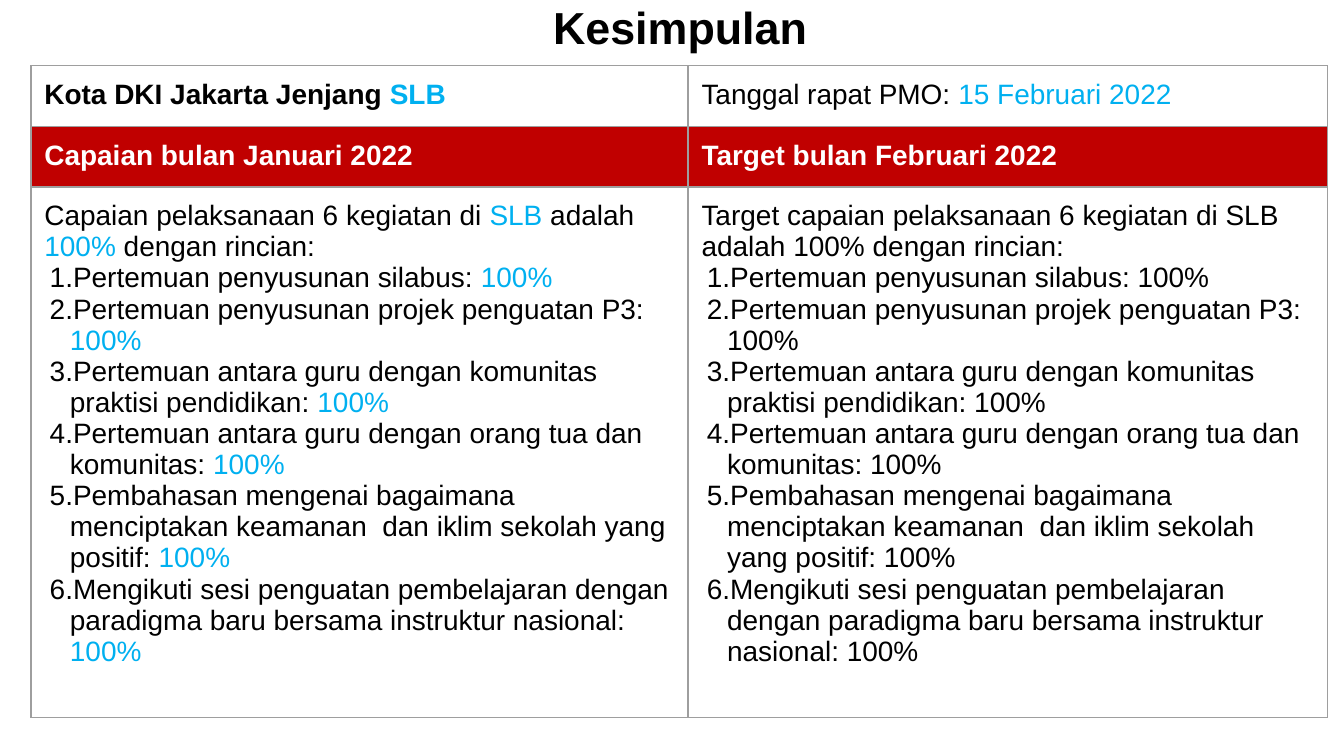
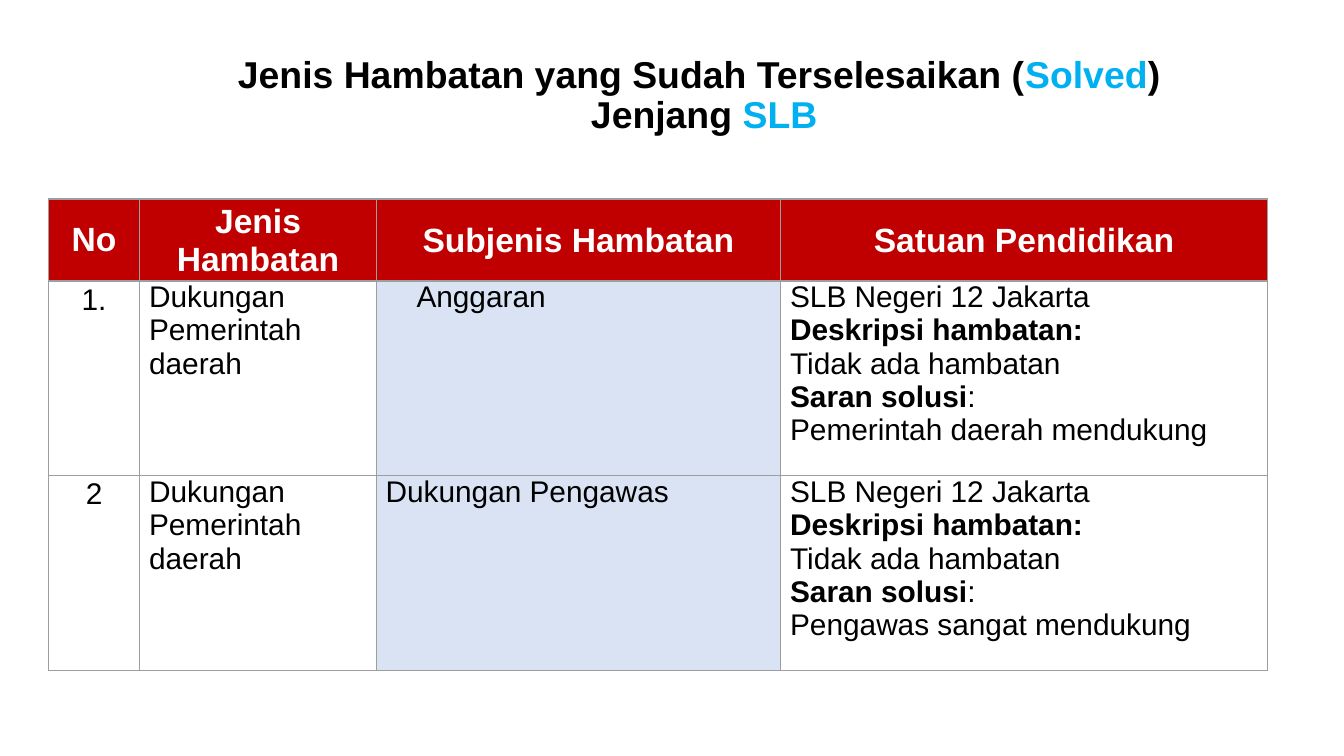
import pptx
import pptx.util
import pptx.dml.color
import pptx.enum.text
import pptx.oxml.ns
import lxml.etree

Inches, Pt = pptx.util.Inches, pptx.util.Pt
RGB = pptx.dml.color.RGBColor
ALIGN, ANCHOR = pptx.enum.text.PP_ALIGN, pptx.enum.text.MSO_ANCHOR

BLACK = RGB(0x00, 0x00, 0x00)
WHITE = RGB(0xFF, 0xFF, 0xFF)
RED = RGB(0xC0, 0x00, 0x00)
SKY = RGB(0x00, 0xB0, 0xF0)
PALE = RGB(0xDA, 0xE3, 0xF3)
GREY = RGB(0x9E, 0x9E, 0x9E)

HEAD = {"bold": True, "color": WHITE}
BLUE = {"color": SKY}
BOLD = {"bold": True}
MID = {"alignment": ALIGN.CENTER}

STEPS = [
    "Pertemuan penyusunan silabus: ",
    "Pertemuan penyusunan projek penguatan P3: ",
    "Pertemuan antara guru dengan komunitas praktisi pendidikan: ",
    "Pertemuan antara guru dengan orang tua dan komunitas: ",
    "Pembahasan mengenai bagaimana menciptakan keamanan  dan iklim sekolah yang positif: ",
    "Mengikuti sesi penguatan pembelajaran dengan paradigma baru bersama instruktur nasional: ",
]
ISSUES = [
    ("1.", "Anggaran", 0.23, "Pemerintah daerah mendukung"),
    ("2", "Dukungan Pengawas", 0, "Pengawas sangat mendukung"),
]


def node(parent, tag, **attrs):
    return lxml.etree.SubElement(parent, pptx.oxml.ns.qn(tag), attrs)


def write(para, text, size, base=None, accent=BLUE, form=None):
    """Fill a paragraph; parts between bars take the accent, newlines break."""
    for name, value in (form or {}).items():
        setattr(para, name, value)
    for i, part in enumerate(text.split("|")):
        look = {"bold": False, "color": BLACK, **(base or {})}
        if i % 2:
            look.update(accent)
        for j, line in enumerate(part.split("\n")):
            if j:
                para.add_line_break()
            if not line:
                continue
            run = para.add_run()
            run.text = line
            font = {"name": "Arial", "size": Pt(size), "bold": look["bold"]}
            for name, value in font.items():
                setattr(run.font, name, value)
            run.font.color.rgb = look["color"]


def fit(area, left, top, right, bottom):
    for side, gap in zip(("left", "top", "right", "bottom"), (left, top, right, bottom)):
        setattr(area, "margin_" + side, Inches(gap))


def indent(para, left, first=0, right=0):
    props = para._p.get_or_add_pPr()
    for name, value in {"marL": left, "marR": right, "indent": first}.items():
        props.set(name, str(Inches(value)))
    return props


def number(para):
    props = indent(para, 0.19, -0.15)
    node(node(props, "a:buClr"), "a:srgbClr", val=str(BLACK))
    node(props, "a:buAutoNum", type="arabicPeriod")


def title(slide, box, text, size, anchor, before=0):
    frame = slide.shapes.add_textbox(*map(Inches, box)).text_frame
    frame.word_wrap = True
    frame.vertical_anchor = anchor
    fit(frame, 0.07, 0.04, 0.07, 0.04)
    form = {**MID, "line_spacing": 0.9, "space_before": Pt(before)}
    write(frame.paragraphs[0], text, size, BOLD, form=form)


def table(slide, box, cols, rows):
    """Add a plain table; rows are least heights and grow with their text."""
    shape = slide.shapes.add_table(len(rows), len(cols), *map(Inches, box))
    grid = shape.table
    grid.first_row = grid.horz_banding = False
    for col, width in zip(grid.columns, cols):
        col.width = Inches(width)
    for row, height in zip(grid.rows, rows):
        row.height = Inches(height)
    shape.width, shape.height = map(Inches, box[2:])
    for cell in grid.iter_cells():
        props = cell._tc.get_or_add_tcPr()
        for side in "LRTB":
            line = node(props, "a:ln" + side, w=str(Pt(0.75)))
            node(node(line, "a:solidFill"), "a:srgbClr", val=str(GREY))
        cell.fill.background()
    return grid


def paint(cell, color):
    cell.fill.solid()
    cell.fill.fore_color.rgb = color


def lines(cell, texts, size, **style):
    """Write one paragraph per text and return the paragraphs."""
    frame = cell.text_frame
    paras = [frame.paragraphs[0]] + [frame.add_paragraph() for _ in texts[1:]]
    for para, text in zip(paras, texts):
        write(para, text, size, **style)
    return paras


def recap(slide):
    title(slide, (0.23, 0, 9.66, 0.46), "Kesimpulan", 24, ANCHOR.TOP, 8)
    grid = table(slide, (0.23, 0.49, 9.66, 4.85), (4.89, 4.76), (0.25, 0, 1.37))
    for cell in grid.iter_cells():
        fit(cell, 0.1, 0.1, 0.1, 0.1)
    lines(grid.cell(0, 0), ["Kota DKI Jakarta Jenjang |SLB|"], 15, base=BOLD)
    lines(grid.cell(0, 1), ["Tanggal rapat PMO: |15 Februari 2022|"], 15)
    parts = [
        ("Capaian bulan Januari 2022",
         "Capaian pelaksanaan 6 kegiatan di |SLB |adalah |100% |dengan rincian:", "|100%|"),
        ("Target bulan Februari 2022",
         "Target capaian pelaksanaan 6 kegiatan di SLB adalah 100% dengan rincian:", "100%"),
    ]
    for col, (head, intro, rate) in enumerate(parts):
        paint(grid.cell(1, col), RED)
        lines(grid.cell(1, col), [head], 15, base=HEAD)
        paras = lines(grid.cell(2, col), [intro] + [step + rate for step in STEPS], 15)
        for para in paras[1:]:
            number(para)


def solved(slide):
    title(slide, (0.2, 0.26, 10.08, 0.91),
          "Jenis Hambatan yang Sudah Terselesaikan (|Solved|) \nJenjang |SLB|",
          20, ANCHOR.MIDDLE)
    grid = table(slide, (0.36, 1.48, 9.08, 3.81), (0.68, 1.76, 3.01, 3.62), (0.55, 1.45, 1.45))
    heads = ("No", "Jenis Hambatan", "Subjenis Hambatan", "Satuan Pendidikan")
    for col, head in enumerate(heads):
        cell = grid.cell(0, col)
        paint(cell, RED)
        cell.vertical_anchor = ANCHOR.MIDDLE
        edge = 0.01 if col else 0
        fit(cell, edge, edge, edge, 0)
        lines(cell, [head], 18, base=HEAD, form=MID)
    for row, (mark, kind, shift, advice) in enumerate(ISSUES, 1):
        cells = [grid.cell(row, col) for col in range(len(heads))]
        for col, cell in enumerate(cells):
            edge = 0.07 if col else 0
            fit(cell, edge, 0, edge, 0)
        paint(cells[2], PALE)
        para, = lines(cells[0], [mark], 16, form={**MID, "line_spacing": 1.07})
        indent(para, 0.08, right=0.08)
        lines(cells[1], ["Dukungan Pemerintah daerah"], 16)
        para, = lines(cells[2], [kind], 16)
        indent(para, shift)
        notes = ["SLB Negeri 12 Jakarta", "|Deskripsi hambatan:|",
                 "Tidak ada hambatan", "|Saran solusi|:", advice]
        lines(cells[3], notes, 16, accent=BOLD)


def main():
    deck = pptx.Presentation()
    deck.slide_width = Inches(10)
    deck.slide_height = deck.slide_width * 9 // 16
    for build in (recap, solved):
        build(deck.slides.add_slide(deck.slide_layouts[6]))
    deck.save("out.pptx")


if __name__ == "__main__":
    main()
